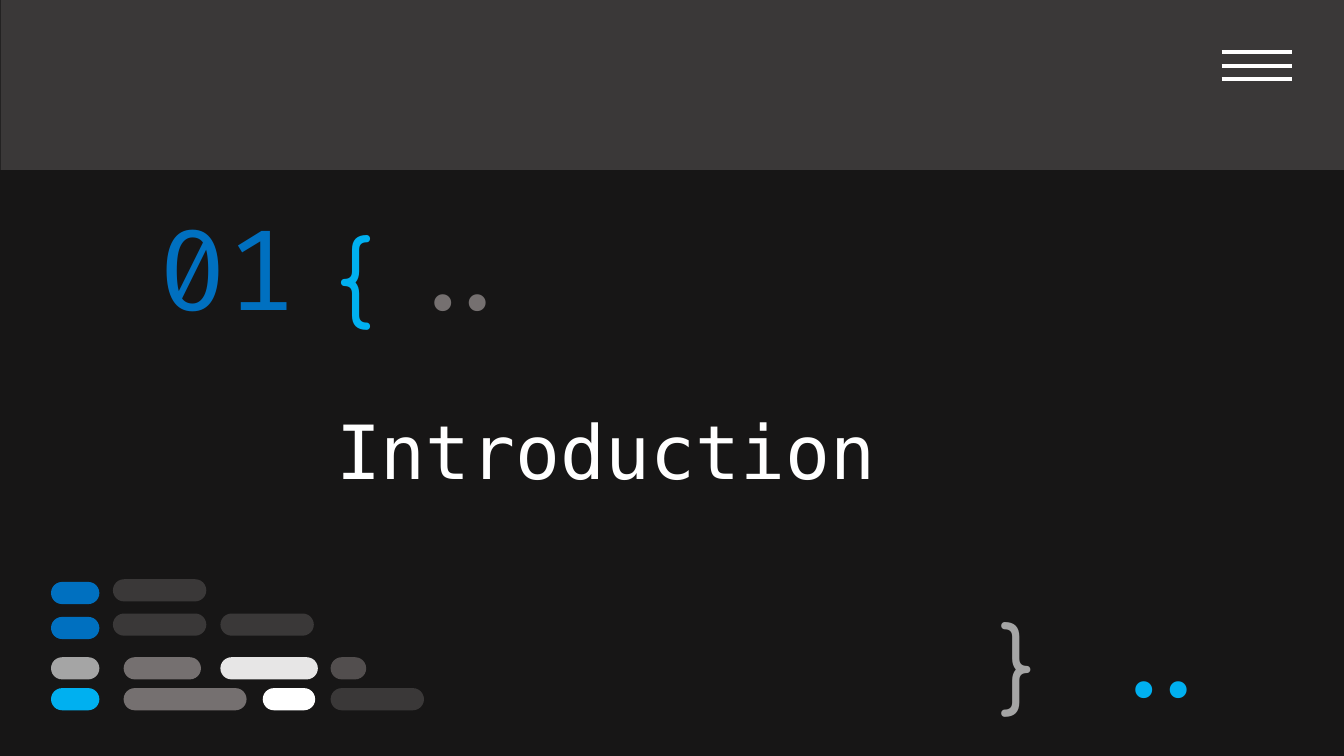
"""Build the dark code-themed section slide "01 Introduction"."""
from pptx import Presentation
from pptx.dml.color import RGBColor
from pptx.enum.shapes import MSO_CONNECTOR, MSO_SHAPE
from pptx.enum.text import MSO_ANCHOR, MSO_AUTO_SIZE, PP_ALIGN
from pptx.oxml import parse_xml
from pptx.oxml.ns import nsdecls
from pptx.util import Emu, Pt

PX = 4572
BLUE, CYAN, WHITE = "0070C0", "00B0F0", "FFFFFF"
DARK, SILVER, GREY = "3A3838", "A5A5A5", "757070"


def color(value):
    return RGBColor.from_string(value)


def px(*values):
    return [Emu(value * PX) for value in values]


presentation = Presentation()
presentation.slide_width, presentation.slide_height = px(2000, 1125)
slide = presentation.slides.add_slide(presentation.slide_layouts[5])
slide.background.fill.solid()
slide.background.fill.fore_color.rgb = color("171616")
shapes = slide.shapes

pill_rows = [
    (866, [(76, 72, BLUE)]),
    (918, [(76, 72, BLUE)]),
    (978, [(76, 72, SILVER), (184, 115, GREY), (328, 145, "E7E6E6"), (492, 53, "524E4E")]),
    (1024, [(76, 72, CYAN), (184, 183, GREY), (391, 78, WHITE), (492, 139, DARK)]),
    (913, [(168, 139, DARK), (328, 139, DARK)]),
    (862, [(168, 139, DARK)]),
]
blocks = [(MSO_SHAPE.RECTANGLE, 1, 0, 2000, 253, DARK)]
for top, pills in pill_rows:
    for left, width, fill in pills:
        blocks.append((MSO_SHAPE.ROUNDED_RECTANGLE, left, top, width, 33, fill))

for kind, left, top, width, height, fill in blocks:
    shape = shapes.add_shape(kind, *px(left, top, width, height))
    shape.shadow.inherit = False
    shape.fill.solid()
    shape.fill.fore_color.rgb = color(fill)
    shape.line.fill.background()
    if kind == MSO_SHAPE.ROUNDED_RECTANGLE:
        shape.adjustments[0] = 0.5

for top in range(78, 119, 20):
    menu_line = shapes.add_connector(MSO_CONNECTOR.STRAIGHT, *px(1818, top, 1922, top))
    menu_line.line.color.rgb = color(WHITE)
    menu_line.line.width = Pt(2.25)
    menu_line._element.spPr.append(parse_xml(f"<a:effectLst {nsdecls('a')}/>"))

title = shapes.title
title.left, title.top, title.width, title.height = px(480, 538, 1452, 262)

labels = [
    (title, "Introduction", 40, "DejaVu Sans Mono", WHITE, MSO_ANCHOR.MIDDLE, PP_ALIGN.LEFT)
]
for box, text, size, font, fill, anchor, align in [
    ((216, 296, 362, 200), "01", 60, "Fira Code", BLUE, MSO_ANCHOR.MIDDLE, PP_ALIGN.LEFT),
    ((481, 300, 154, 190), "{", 50, "Comfortaa", CYAN, MSO_ANCHOR.TOP, PP_ALIGN.LEFT),
    ((1469, 876, 114, 166), "}", 50, "Comfortaa", SILVER, MSO_ANCHOR.TOP, PP_ALIGN.LEFT),
    ((1620, 923, 214, 120), "..", 50, "Fira Code", CYAN, MSO_ANCHOR.MIDDLE, PP_ALIGN.RIGHT),
    ((577, 347, 214, 120), "..", 50, "Fira Code", GREY, MSO_ANCHOR.MIDDLE, PP_ALIGN.RIGHT),
]:
    labels.append((shapes.add_textbox(*px(*box)), text, size, font, fill, anchor, align))

for shape, text, size, font, fill, anchor, align in labels:
    frame = shape.text_frame
    frame.word_wrap = True
    frame.auto_size = MSO_AUTO_SIZE.NONE
    frame.vertical_anchor = anchor
    frame.margin_left, frame.margin_top, frame.margin_right, frame.margin_bottom = px(20, 20, 20, 20)
    paragraph = frame.paragraphs[0]
    paragraph.alignment = align
    run = paragraph.add_run()
    run.text = text
    run.font.size = Pt(size)
    run.font.name = font
    run.font.color.rgb = color(fill)

presentation.save("out.pptx")
